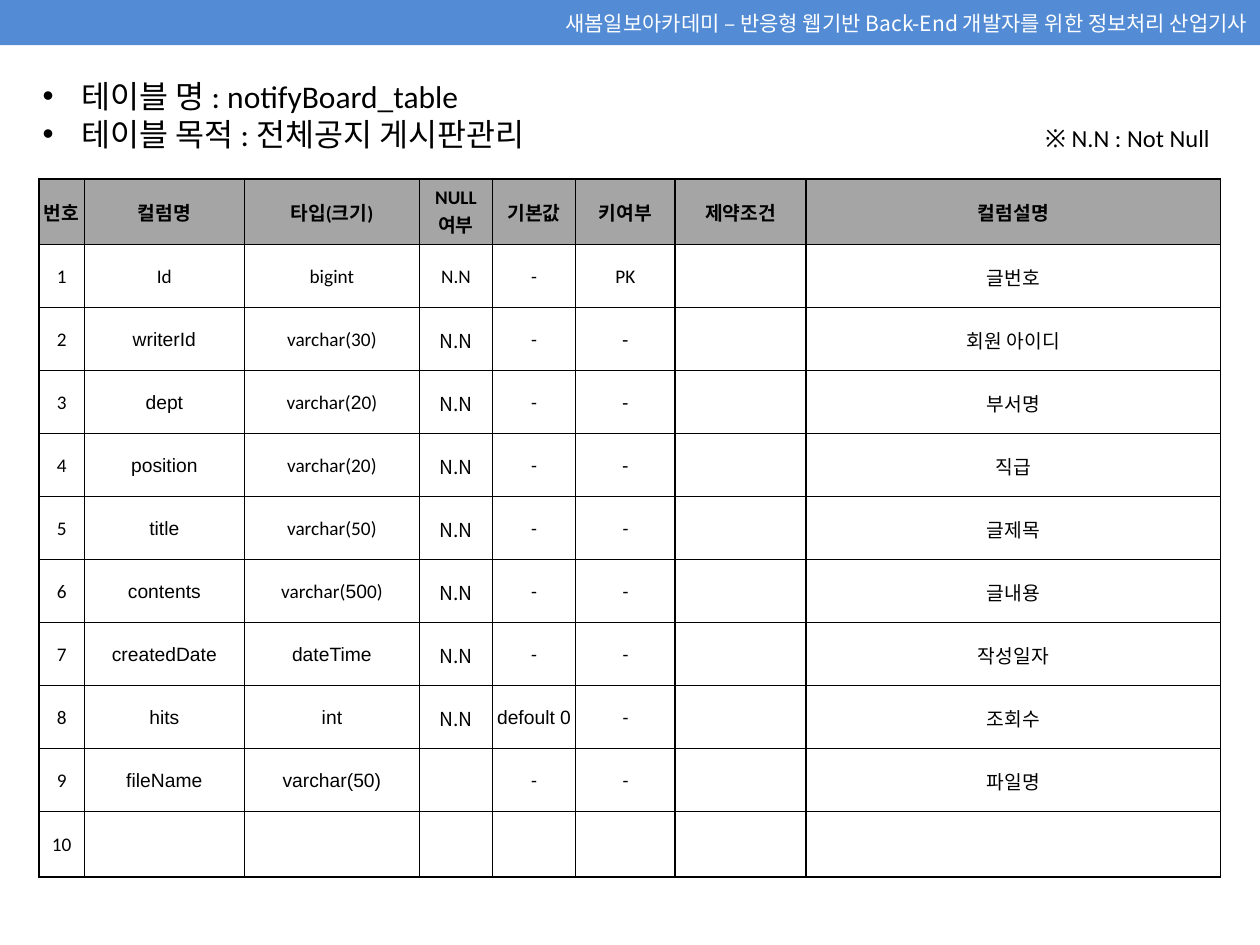
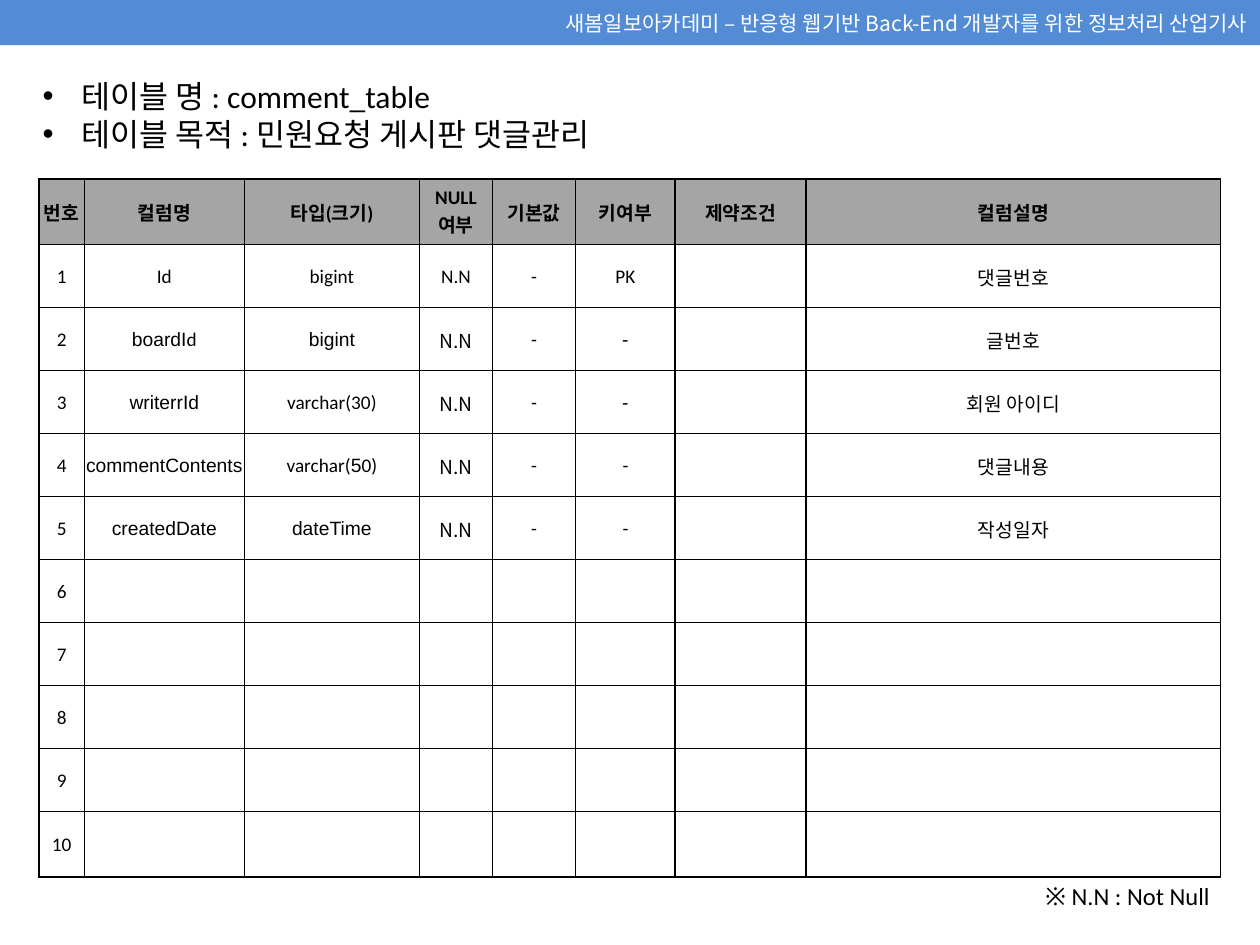
"""Build the table definition slides of a notice board database."""
from dataclasses import dataclass

from lxml.etree import SubElement
from pptx import Presentation
from pptx.dml.color import RGBColor
from pptx.enum.shapes import MSO_SHAPE
from pptx.enum.text import MSO_ANCHOR, MSO_AUTO_SIZE, PP_ALIGN
from pptx.oxml.ns import qn
from pptx.slide import Slide
from pptx.table import _Cell
from pptx.text.text import TextFrame, _Paragraph
from pptx.util import Inches, Pt

HUE = {"band": "538CD5", "head": "A5A5A5", "ink": "000000", "page": "FFFFFF"}
LATIN, ARIAL, KOREAN = "Calibri", "Arial", "Noto Sans CJK KR"
COURSE = "새봄일보아카데미 – 반응형 웹기반 Back-End 개발자를 위한 정보처리 산업기사"
LEGEND = "※ N.N : Not Null"
HEADS = ["번호", "컬럼명", "타입(크기)", "NULL 여부", "기본값", "키여부", "제약조건", "컬럼설명"]
WIDTHS = [0.36, 1.27, 1.39, 0.58, 0.66, 0.79, 1.04, 3.29]
ROWS = 10
NULL_COL = 3
EDGE_H, ROW_H = 0.52, 0.5

BAND = {"size": Pt(12), "name": KOREAN}
TITLE = {"size": Pt(18), "name": LATIN}
NOTE = {"size": Pt(14), "name": LATIN}
HEAD = {"size": Pt(11), "name": LATIN, "bold": True}
BODY = {"size": Pt(11), "name": LATIN, "bold": False}
BOX = {"word_wrap": True, "auto_size": MSO_AUTO_SIZE.SHAPE_TO_FIT_TEXT}
CELL = {
    "margin_left": Inches(0.01),
    "margin_right": Inches(0.01),
    "margin_top": Inches(0.01),
    "margin_bottom": 0,
    "vertical_anchor": MSO_ANCHOR.MIDDLE,
}


@dataclass
class Field:
    """One column of a database table; bars switch between Calibri and Arial."""

    name: str
    kind: str
    note: str
    null: str = "N.N"
    base: str = "-"
    key: str = "-"

    def cells(self) -> list[str]:
        """Return the cell texts that follow the row number."""
        return [self.name, self.kind, self.null, self.base, self.key, "", self.note]


@dataclass
class Sheet:
    """One slide that defines a database table."""

    name: str
    goal: str
    top: float
    fields: list[Field]


SHEETS = [
    Sheet("notifyBoard_table", "전체공지 게시판관리", 0.93, [
        Field("Id", "bigint", "|글|번호", key="PK"),
        Field("|writerId", "varchar(30)", "|회원| 아이디", key="|-"),
        Field("|dept", "varchar(|2|0)", "|부서명", key="|-"),
        Field("|position", "varchar(20)", "|직급", key="|-"),
        Field("|title", "varchar(50)", "|글제목"),
        Field("|contents", "varchar(|50|0)", "|글내용"),
        Field("|createdDate", "|dateTime", "|작성일자"),
        Field("|hits", "|int", "|조회수", base="|defoult 0"),
        Field("|fileName", "|varchar(50)", "|파일명", null=""),
    ]),
    Sheet("comment_table", "민원요청 게시판 댓글관리", 6.94, [
        Field("Id", "bigint", "|댓글|번호", key="PK"),
        Field("|boardI|d", "|bigint", "|글번호", key="|-"),
        Field("|writerrId", "varchar(30)", "|회원 아이디", key="|-"),
        Field("|commentContents", "varchar(|5|0)", "|댓글내용"),
        Field("|createdDate", "|dateTime", "|작성일자"),
    ]),
]


def tint(key: str) -> RGBColor:
    """Return a named colour."""
    return RGBColor.from_string(HUE[key])


def apply(item: object, form: dict) -> None:
    """Set every format value on an object."""
    for key, value in form.items():
        setattr(item, key, value)


def add_run(para: _Paragraph, text: str, form: dict, hue: str = "ink") -> None:
    """Add one formatted run with a Korean fallback font."""
    run = para.add_run()
    run.text = text
    apply(run.font, form)
    run.font.color.rgb = tint(hue)
    SubElement(run.font._element, qn("a:ea"), typeface=KOREAN)


def add_box(slide: Slide, left: float, top: float, wide: float, high: float) -> TextFrame:
    """Add a wrapping text box and return its frame."""
    box = slide.shapes.add_textbox(*map(Inches, (left, top, wide, high)))
    apply(box.text_frame, BOX)
    return box.text_frame


def add_band(slide: Slide) -> None:
    """Draw the course band across the top."""
    band = slide.shapes.add_shape(MSO_SHAPE.RECTANGLE, 0, 0, Inches(10), Inches(0.36))
    band.shadow.inherit = False
    band.fill.solid()
    band.fill.fore_color.rgb = tint("band")
    band.line.fill.background()
    band.text_frame.vertical_anchor = MSO_ANCHOR.MIDDLE
    para = band.text_frame.paragraphs[0]
    para.alignment = PP_ALIGN.RIGHT
    add_run(para, COURSE, BAND, "page")


def add_title(slide: Slide, sheet: Sheet) -> None:
    """Write the bulleted table name and purpose."""
    frame = add_box(slide, 0.24, 0.56, 9.49, 0.71)
    lines = [f"테이블 명 : {sheet.name}", f"테이블 목적 : {sheet.goal}"]
    for row, line in enumerate(lines):
        para = frame.add_paragraph() if row else frame.paragraphs[0]
        props = para._p.get_or_add_pPr()
        props.set("marL", str(Inches(0.31)))
        props.set("indent", str(-Inches(0.31)))
        SubElement(SubElement(props, qn("a:buClr")), qn("a:srgbClr"), val=HUE["ink"])
        SubElement(props, qn("a:buFont"), typeface=ARIAL)
        SubElement(props, qn("a:buChar"), char="•")
        add_run(para, line, TITLE)


def add_rim(cell: _Cell) -> None:
    """Draw thin lines on the four sides of a cell."""
    props = cell._tc.get_or_add_tcPr()
    for side in "LRTB":
        line = SubElement(props, qn(f"a:ln{side}"), w=str(Pt(1)))
        fill = SubElement(line, qn("a:solidFill"))
        SubElement(fill, qn("a:srgbClr"), val=HUE["ink"])


def fill_cell(cell: _Cell, text: str, row: int, col: int) -> None:
    """Format one cell and write its runs."""
    apply(cell, CELL)
    add_rim(cell)
    if row:
        cell.fill.background()
    else:
        cell.fill.solid()
        cell.fill.fore_color.rgb = tint("head")
    para = cell.text_frame.paragraphs[0]
    para.alignment = PP_ALIGN.CENTER
    form = BODY if row else HEAD
    for turn, part in enumerate(text.split("|")):
        if part:
            face = ARIAL if turn % 2 else LATIN
            if col == NULL_COL and row > 1:
                face = KOREAN
            add_run(para, part, {**form, "name": face})


def add_grid(slide: Slide, fields: list[Field]) -> None:
    """Add the table with a header and numbered rows."""
    highs = [EDGE_H] + [ROW_H] * (ROWS - 1) + [EDGE_H]
    size = map(Inches, (0.31, 1.42, sum(WIDTHS), sum(highs)))
    grid = slide.shapes.add_table(len(highs), len(WIDTHS), *size).table
    apply(grid, {"first_row": False, "horz_banding": False})
    for col, wide in zip(grid.columns, WIDTHS):
        col.width = Inches(wide)
    blank = [""] * (len(HEADS) - 1)
    texts = [HEADS]
    for num in range(1, ROWS + 1):
        rest = fields[num - 1].cells() if num <= len(fields) else blank
        texts.append([str(num), *rest])
    for row, (high, line) in enumerate(zip(highs, texts)):
        grid.rows[row].height = Inches(high)
        for col, text in enumerate(line):
            fill_cell(grid.cell(row, col), text, row, col)


def add_note(slide: Slide, top: float) -> None:
    """Write the legend at the right."""
    para = add_box(slide, 8.15, top, 1.55, 0.34).paragraphs[0]
    para.alignment = PP_ALIGN.RIGHT
    add_run(para, LEGEND, NOTE)


def main() -> None:
    """Build and save the deck."""
    deck = Presentation()
    apply(deck, {"slide_width": Inches(10), "slide_height": Inches(7.5)})
    for sheet in SHEETS:
        slide = deck.slides.add_slide(deck.slide_layouts[6])
        add_band(slide)
        add_title(slide, sheet)
        add_grid(slide, sheet.fields)
        add_note(slide, sheet.top)
    deck.save("out.pptx")


if __name__ == "__main__":
    main()
